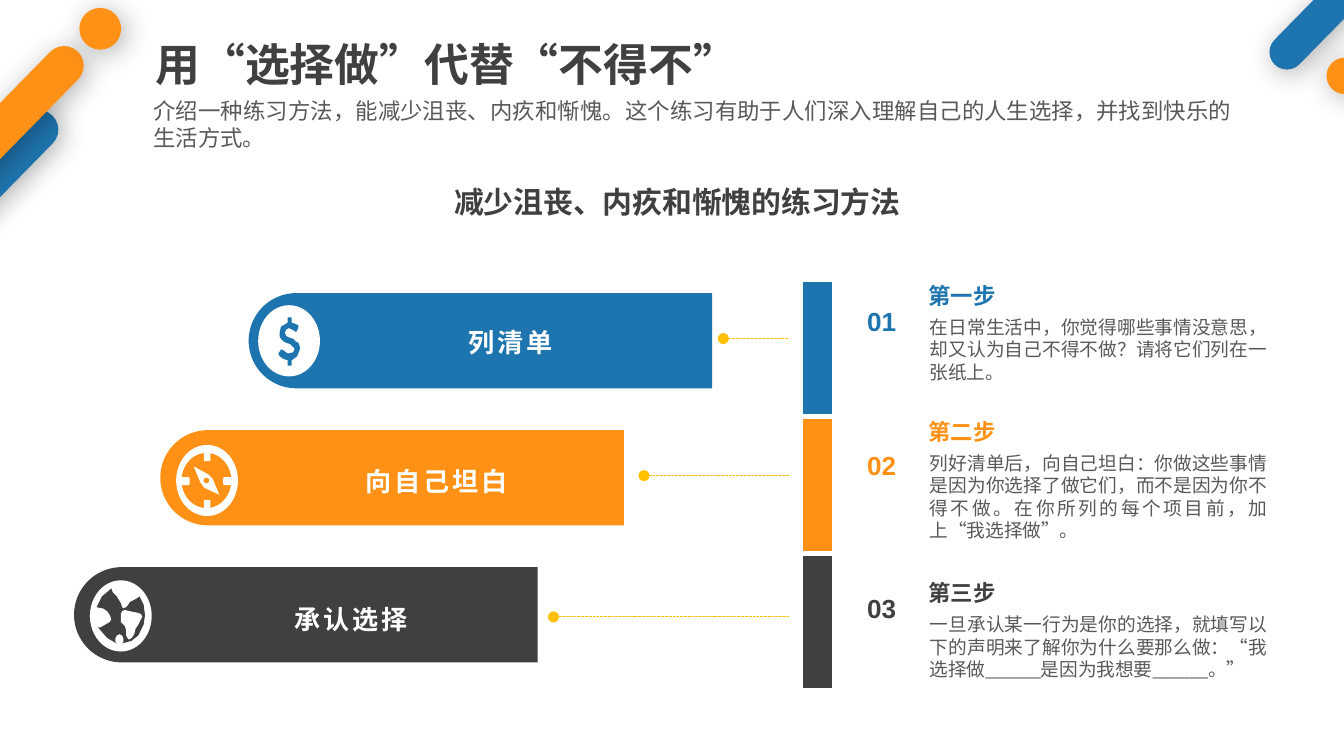
from lxml import etree
from pptx import Presentation
from pptx.dml.color import RGBColor
from pptx.enum.dml import MSO_LINE
from pptx.enum.lang import MSO_LANGUAGE_ID
from pptx.enum.shapes import MSO_CONNECTOR, MSO_SHAPE
from pptx.enum.text import MSO_ANCHOR, MSO_AUTO_SIZE, PP_ALIGN
from pptx.oxml.ns import qn
from pptx.util import Cm, Pt

RECT, OVAL = MSO_SHAPE.RECTANGLE, MSO_SHAPE.OVAL
PILL, TAB = MSO_SHAPE.ROUNDED_RECTANGLE, MSO_SHAPE.ROUND_2_SAME_RECTANGLE
STRAIGHT, DASH = MSO_CONNECTOR.STRAIGHT, MSO_LINE.SQUARE_DOT
TOP, MIDDLE = MSO_ANCHOR.TOP, MSO_ANCHOR.MIDDLE
LEFT, CENTER, JUSTIFY = PP_ALIGN.LEFT, PP_ALIGN.CENTER, PP_ALIGN.JUSTIFY
NO_AUTOFIT = MSO_AUTO_SIZE.NONE
CHINESE = MSO_LANGUAGE_ID.SIMPLIFIED_CHINESE

BLUE = RGBColor(0x1E, 0x74, 0xAE)
ORANGE = RGBColor(0xFF, 0x92, 0x16)
DARK = RGBColor(0x40, 0x40, 0x40)
GRAY = RGBColor(0x59, 0x59, 0x59)
GOLD = RGBColor(0xFF, 0xC0, 0x00)
WHITE = RGBColor(0xFF, 0xFF, 0xFF)

CJK = "Noto Sans CJK SC"
ICON_UNIT = 0.0254
ROW_STEP = 2.59
STANDARD_INSETS = (0.25, 0.13, 0.25, 0.13)
SMALL_INSETS = (0.18, 0.1, 0.18, 0.1)

DOLLAR = [
    (29, 38), (25, 41), (25, 45), (22, 45), (22, 41), (19, 40), (16, 38), (15, 36),
    (17, 33), (18, 33), (22, 36), (26, 35), (27, 33), (27, 32), (26, 31), (24, 29),
    (21, 28), (19, 27), (17, 25), (16, 23), (16, 20), (17, 16), (22, 13), (22, 9),
    (25, 9), (25, 13), (28, 14), (30, 15), (30, 16), (29, 19), (28, 20), (27, 19),
    (25, 18), (23, 17), (21, 18), (20, 20), (20, 21), (21, 23), (23, 24), (26, 25),
    (28, 27), (30, 28), (31, 31), (31, 33),
]
NEEDLE = [(13, 16), (18, 28), (21, 32), (32, 37), (27, 25), (24, 22)]
OCEAN = [
    (24, 47), (25, 46), (25, 43), (24, 41), (22, 40), (20, 41), (19, 43), (19, 46),
    (20, 47), (13, 43), (6, 35), (8, 35), (15, 31), (16, 29), (15, 26), (13, 23),
    (10, 21), (5, 20), (9, 12), (16, 6), (17, 9), (20, 12), (23, 17), (24, 20),
    (25, 21), (27, 20), (28, 19), (30, 16), (34, 14), (37, 12), (40, 18), (41, 26),
    (40, 33), (36, 41), (31, 45),
]
LAND = [
    (35, 24), (30, 23), (26, 22), (24, 23), (23, 25), (23, 28), (23, 31), (26, 34),
    (27, 37), (27, 41), (28, 43), (29, 44), (31, 43), (33, 40), (34, 36), (36, 33),
    (39, 27), (38, 25),
]

STEPS = [
    dict(color=BLUE, number="01", label="列清单", bar=9.08, name=9.64, name_y=6.4,
         icon=(4.88, 5.77), lead=(13.67, 6.4), head="第一步", head_y=5.33, detail_height=1.52,
         detail="在日常生活中，你觉得哪些事情没意思，却又认为自己不得不做？请将它们列在一张纸上。"),
    dict(color=ORANGE, number="02", label="向自己坦白", bar=7.41, name=8.24, name_y=9.03,
         icon=(3.33, 8.41), lead=(12.17, 8.99), head="第二步", head_y=7.9, detail_height=1.96,
         detail="列好清单后，向自己坦白：你做这些事情是因为你选择了做它们，而不是因为你不得不做。"
                "在你所列的每个项目前，加上“我选择做”。"),
    dict(color=DARK, number="03", label="承认选择", bar=5.78, name=6.64, name_y=11.65,
         icon=(1.7, 10.97), lead=(10.46, 11.66), head="第三步", head_y=10.95, detail_height=1.52,
         detail="一旦承认某一行为是你的选择，就填写以下的声明来了解你为什么要那么做："
                "“我选择做______是因为我想要______。”"),
]


class SlideBuilder:
    def __init__(self, page):
        self.page = page
        self.shapes = page.shapes

    def fill(self, shape, color, outline=None):
        shape.shadow.inherit = False
        shape.fill.solid()
        shape.fill.fore_color.rgb = color
        if outline is None:
            shape.line.fill.background()
        else:
            shape.line.color.rgb = outline
            shape.line.width = Pt(1)
        return shape

    def shape(self, kind, left, top, width, height, color, outline=None, turn=0, adjust=()):
        shape = self.shapes.add_shape(kind, Cm(left), Cm(top), Cm(width), Cm(height))
        for index, value in enumerate(adjust):
            shape.adjustments[index] = value
        shape.rotation = turn
        return self.fill(shape, color, outline)

    def ornament(self, kind, left, top, width, height, color):
        pill = kind == PILL
        shape = self.shape(kind, left, top, width, height, color,
                           turn=44.4 if pill else 0, adjust=(0.5,) if pill else ())
        effects = shape._element.spPr.find(qn("a:effectLst"))
        shadow = etree.SubElement(effects, qn("a:outerShdw"), blurRad=str(Pt(15)),
                                  dist=str(Pt(3)), dir="2700000", rotWithShape="0")
        tint = etree.SubElement(shadow, qn("a:srgbClr"), val="000000")
        etree.SubElement(tint, qn("a:alpha"), val="30000")

    def set_text(self, box, words, size, color, font, bold=False, align=LEFT, anchor=TOP,
                 insets=(0, 0, 0, 0), line_spacing=None, tracking=None, wrap=True):
        frame = box.text_frame
        frame.auto_size = NO_AUTOFIT
        frame.word_wrap = wrap
        frame.vertical_anchor = anchor
        (frame.margin_left, frame.margin_top,
         frame.margin_right, frame.margin_bottom) = [Cm(inset) for inset in insets]
        para = frame.paragraphs[0]
        para.alignment = align
        para.line_spacing = line_spacing
        span = para.add_run()
        span.text = words
        span.font.name = font
        span.font.size = Pt(size)
        span.font.bold = bold
        span.font.color.rgb = color
        span.font.language_id = CHINESE
        properties = span.font._element
        properties.find(qn("a:latin")).addnext(
            etree.Element(qn("a:ea"), typeface=CJK))
        if tracking:
            properties.set("spc", str(tracking))

    def title(self, words, left, top, width, height):
        box = self.shapes.title
        box.left, box.top, box.width, box.height = Cm(left), Cm(top), Cm(width), Cm(height)
        self.set_text(box, words, 24, DARK, CJK, bold=True, insets=STANDARD_INSETS)

    def text(self, words, left, top, width, height, size, color, font, **style):
        box = self.shapes.add_textbox(Cm(left), Cm(top), Cm(width), Cm(height))
        self.set_text(box, words, size, color, font, **style)

    def leader(self, start, y, end):
        line = self.shapes.add_connector(STRAIGHT, Cm(start), Cm(y), Cm(end), Cm(y))
        line.line.color.rgb = GOLD
        line.line.width = Pt(0.5)
        line.line.dash_style = DASH
        properties = line._element.spPr
        etree.SubElement(properties.find(qn("a:ln")), qn("a:headEnd"), type="oval")
        etree.SubElement(properties, qn("a:effectLst"))

    def outline(self, points, origin, color):
        builder = self.shapes.build_freeform(*points[0], scale=Cm(ICON_UNIT))
        builder.add_line_segments(points[1:], close=True)
        self.fill(builder.convert_to_shape(*[Cm(value) for value in origin]), color)

    def icon_part(self, kind, origin, left, top, width, height, color):
        self.shape(kind, origin[0] + left * ICON_UNIT, origin[1] + top * ICON_UNIT,
                   width * ICON_UNIT, height * ICON_UNIT, color)

    def dollar_icon(self, origin, color):
        self.outline(DOLLAR, origin, color)

    def compass_icon(self, origin, color):
        self.icon_part(OVAL, origin, 4, 6, 37, 41, color)
        for tick in [(20.5, 4, 5, 8), (20.5, 41, 5, 8), (2, 24, 8, 6), (35, 24, 8, 6)]:
            self.icon_part(PILL, origin, *tick, WHITE)
        self.outline(NEEDLE, origin, WHITE)
        self.icon_part(OVAL, origin, 20.5, 24.5, 4, 4, color)

    def globe_icon(self, origin, color):
        self.outline(OCEAN, origin, color)
        self.outline(LAND, origin, WHITE)


def main():
    deck = Presentation()
    deck.slide_width, deck.slide_height = Cm(25.4), Cm(14.29)
    slide = SlideBuilder(deck.slides.add_slide(deck.slide_layouts[5]))

    for ornament in [
        (PILL, -0.89, 1.57, 0.74, 4.32, BLUE),
        (PILL, 25.45, -2.92, 0.66, 4.83, BLUE),
        (OVAL, 25.07, 1.09, 0.69, 0.69, ORANGE),
        (PILL, -0.41, 0.36, 0.74, 4.32, ORANGE),
        (OVAL, 1.5, 0.15, 0.79, 0.79, ORANGE),
    ]:
        slide.ornament(*ornament)

    slide.title("用“选择做”代替“不得不”", 2.69, 0.56, 15.01, 1.27)
    slide.text("介绍一种练习方法，能减少沮丧、内疚和惭愧。这个练习有助于人们深入理解自己的人生选择，"
               "并找到快乐的生活方式。", 2.9, 1.83, 20.4, 1.02, 12, GRAY, "Calibri", align=JUSTIFY)
    slide.text("减少沮丧、内疚和惭愧的练习方法", 7.7, 3.48, 10.21, 0.69, 16, DARK, "Calibri",
               bold=True, align=CENTER)

    icons = [slide.dollar_icon, slide.compass_icon, slide.globe_icon]
    for row, (step, draw_icon) in enumerate(zip(STEPS, icons)):
        color = step["color"]
        shift = row * ROW_STEP
        slide.shape(TAB, step["bar"] - 0.9, 2.06 + shift, 1.8, 8.76, color,
                    turn=270, adjust=(0.5, 0))
        slide.icon_part(OVAL, step["icon"], 0, 0, 46, 53, WHITE)
        draw_icon(step["icon"], color)
        slide.text(step["label"], step["name"] - 3.36, step["name_y"] - 0.65, 6.73, 1.3,
                   14, WHITE, "Arial", bold=True, align=CENTER, anchor=MIDDLE,
                   insets=SMALL_INSETS, line_spacing=1.2, tracking=150)
        slide.leader(*step["lead"], 14.91)
        slide.shape(RECT, 15.16, 5.31 + shift, 0.58, 2.54, color, outline=WHITE)
        slide.text(step["number"], 16.21, 5.49 + row * 2.72, 1.35, 1.55, 14, color, "Arial",
                   bold=True, insets=SMALL_INSETS, line_spacing=1.3)
        slide.text(step["head"], 17.55, step["head_y"], 1.27, 0.51, 12, color, CJK,
                   bold=True, wrap=False)
        slide.text(step["detail"], 17.32, step["head_y"] + 0.51, 6.88, step["detail_height"],
                   10, GRAY, "Calibri", align=JUSTIFY, insets=STANDARD_INSETS)

    deck.save("out.pptx")


if __name__ == "__main__":
    main()
